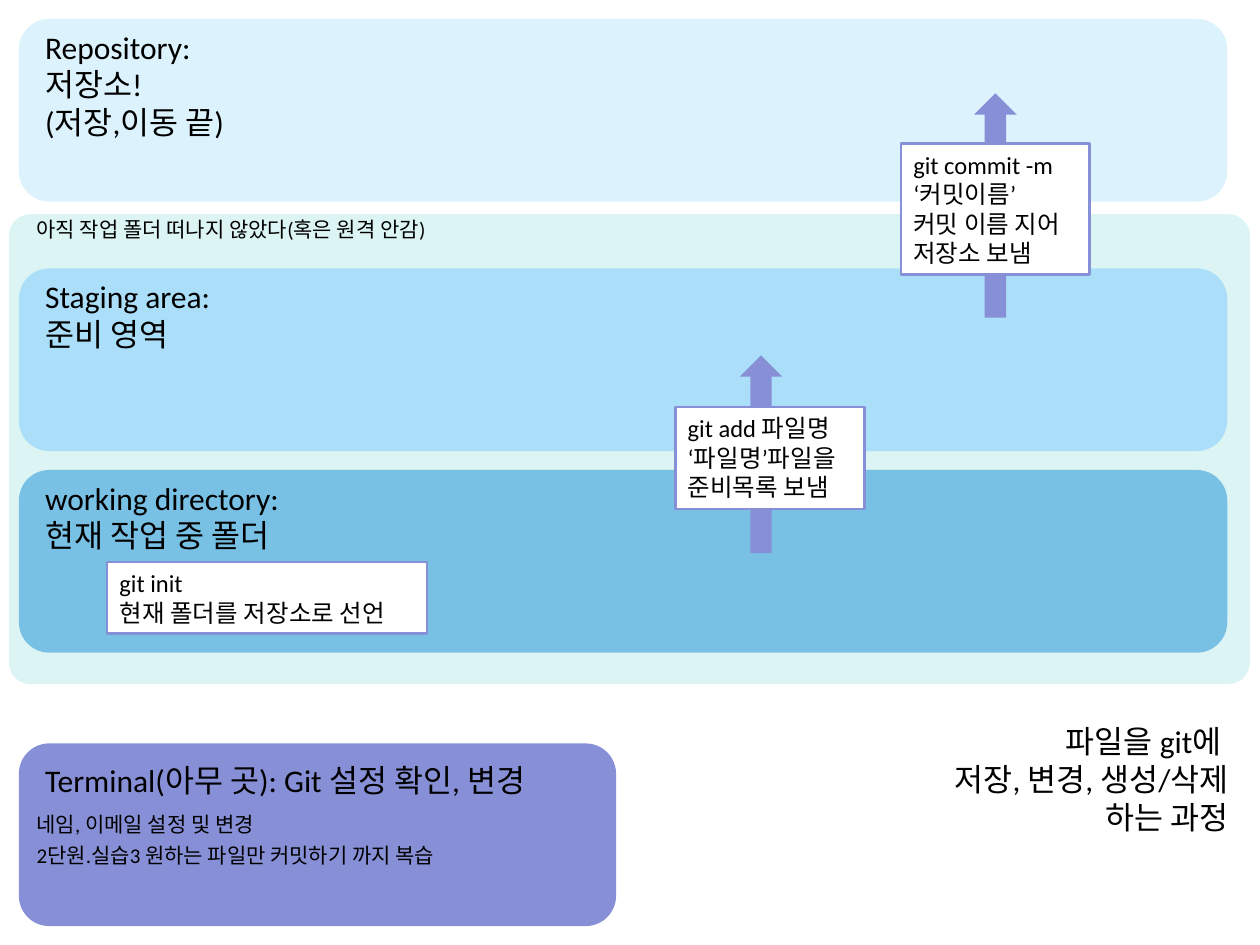
from lxml.etree import SubElement
from pptx import Presentation
from pptx.dml.color import RGBColor
from pptx.enum.lang import MSO_LANGUAGE_ID
from pptx.enum.shapes import MSO_SHAPE
from pptx.enum.text import MSO_ANCHOR, MSO_AUTO_SIZE, PP_ALIGN
from pptx.oxml.ns import qn
from pptx.util import Inches, Pt

PURPLE, WHITE, BLACK = "878FD6", "FFFFFF", "000000"
FONT = "Calibri"
LEFT, BAND_WIDTH, BAND_HEIGHT = 0.15, 9.59, 1.45
LABEL_LEFT = LEFT + 0.11

deck = Presentation()
deck.slide_width, deck.slide_height = Inches(10), Inches(7.5)
slide = deck.slides.add_slide(deck.slide_layouts[5])


def add_block(preset, left, top, width, height, fill, line=None):
    """Add a flat preset shape, outlined only if a line colour is given."""
    block = slide.shapes.add_shape(
        preset, Inches(left), Inches(top), Inches(width), Inches(height))
    block.shadow.inherit = False
    block.fill.solid()
    block.fill.fore_color.rgb = RGBColor.from_string(fill)
    if line:
        block.line.color.rgb = RGBColor.from_string(line)
        block.line.width = Pt(1.5)
    else:
        block.line.fill.background()
    return block


def write(holder, lines, size=18, align=PP_ALIGN.LEFT, inset=0.1,
          fit=MSO_AUTO_SIZE.SHAPE_TO_FIT_TEXT):
    """Fill a shape with one paragraph per line of text."""
    frame = holder.text_frame
    frame.text = "\n".join(lines)
    frame.word_wrap = True
    frame.auto_size = fit
    frame.vertical_anchor = MSO_ANCHOR.TOP
    frame.margin_left = Inches(inset)
    for paragraph in frame.paragraphs:
        paragraph.alignment = align
        for run in paragraph.runs:
            run.font.size = Pt(size)
            run.font.language_id = MSO_LANGUAGE_ID.KOREAN
            run.font.color.rgb = RGBColor.from_string(BLACK)
            run.font.name = FONT
            # The East Asian font keeps curly quotes narrow beside Hangul
            SubElement(run._r.get_or_add_rPr(), qn("a:ea"), typeface=FONT)


# Subject of the slide
subject = slide.shapes.title
subject.left, subject.top = Inches(7.22), Inches(5.68)
subject.width, subject.height = Inches(2.63), Inches(1.01)
write(subject, ["파일을 git에 ", "저장, 변경, 생성/삭제", "하는 과정"],
      align=PP_ALIGN.RIGHT, fit=MSO_AUTO_SIZE.NONE)

# Local folder behind the two lower areas
local_folder = add_block(MSO_SHAPE.ROUNDED_RECTANGLE, 0.07, 1.7, 9.85, 3.73, "DCF4F3")
local_folder.adjustments[0] = 0.046

# Areas: top, width, fill, label offset, label width, label
areas = [
    (0.15, BAND_WIDTH, "DCF2FC", 0.02, 2.06,
     ["Repository: ", "저장소!", "(저장,이동 끝)"]),
    (2.13, BAND_WIDTH, "ABDFF9", 0.02, 1.52, ["Staging area: ", "준비 영역"]),
    (3.73, BAND_WIDTH, "78C1E5", 0.02, 2.22,
     ["working directory: ", "현재 작업 중 폴더"]),
    (5.9, 4.74, PURPLE, 0.09, 4.46, ["Terminal(아무 곳): Git 설정 확인, 변경"]),
]
for top, width, fill, offset, label_width, label in areas:
    add_block(MSO_SHAPE.ROUNDED_RECTANGLE, LEFT, top, width, BAND_HEIGHT, fill)
    area_label = slide.shapes.add_textbox(
        Inches(LABEL_LEFT), Inches(top + offset), Inches(label_width),
        Inches(0.1 + 0.3 * len(label)))
    write(area_label, label)

# Arrows from one area up to the next
for left, top, height in [(5.87, 2.82, 1.57), (7.73, 0.74, 1.78)]:
    add_block(MSO_SHAPE.UP_ARROW, left, top, 0.34, height, PURPLE)

# Commands
commands = [
    (5.36, 3.23, 1.5, 0.81, ["git add 파일명 ", "‘파일명’파일을 ", "준비목록 보냄 "]),
    (0.85, 4.46, 2.54, 0.57, ["git init ", "현재 폴더를 저장소로 선언 "]),
    (7.15, 1.14, 1.5, 1.04, ["git commit -m ‘커밋이름’ ", "커밋 이름 지어 저장소 보냄 "]),
]
for left, top, width, height, command in commands:
    write(add_block(MSO_SHAPE.RECTANGLE, left, top, width, height, WHITE, PURPLE),
          command, size=14)

# Small remarks
remarks = [
    (1.67, "아직 작업 폴더 떠나지 않았다(혹은 원격 안감)"),
    (6.39, "네임, 이메일 설정 및 변경"),
    (6.64, "2단원.실습3 원하는 파일만 커밋하기 까지 복습 "),
]
for top, remark in remarks:
    remark_box = slide.shapes.add_textbox(
        Inches(0.07), Inches(top), Inches(4.66), Inches(0.3))
    write(remark_box, [remark], size=12, inset=0.22)

deck.save("out.pptx")
